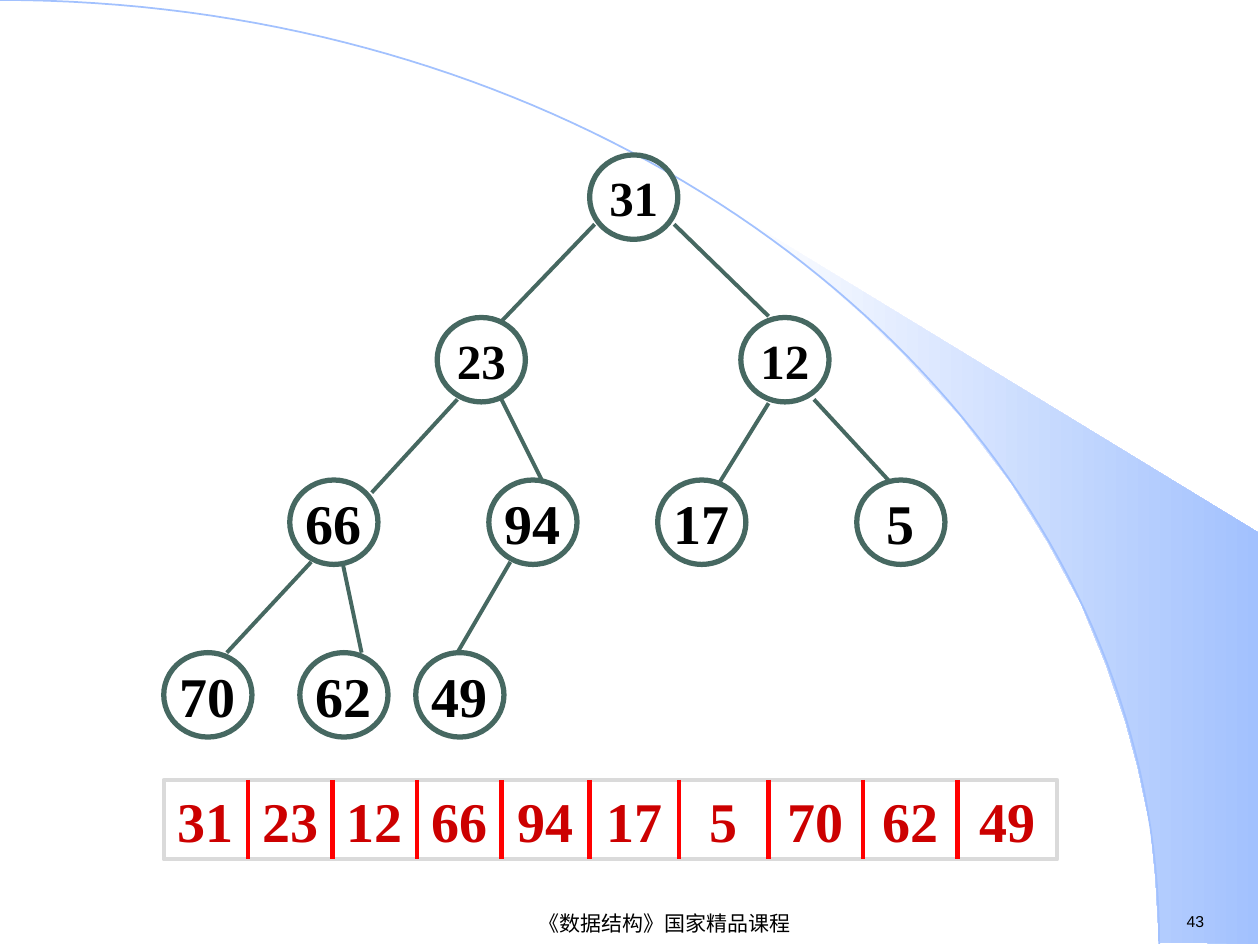
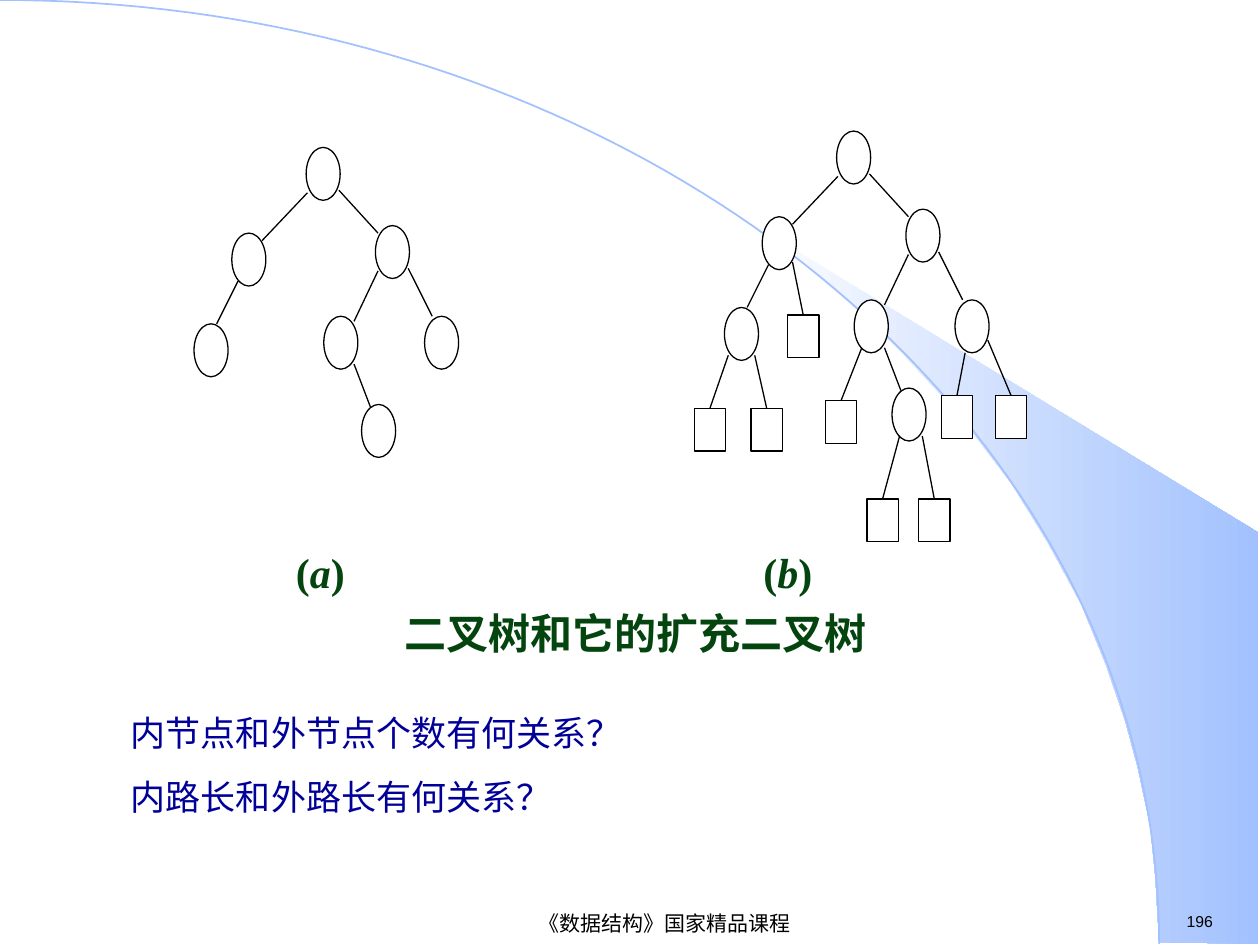
from pptx import Presentation
from pptx.dml.color import RGBColor
from pptx.enum.shapes import MSO_CONNECTOR, MSO_SHAPE
from pptx.enum.text import MSO_ANCHOR, PP_ALIGN
from pptx.oxml.ns import qn
from pptx.util import Inches, Pt
from lxml.etree import SubElement

BLACK = RGBColor(0x00, 0x00, 0x00)
WHITE = RGBColor(0xFF, 0xFF, 0xFF)
SKY = RGBColor(0xA2, 0xC1, 0xFE)
TREE_GREEN = RGBColor(0x46, 0x68, 0x61)
CAPTION_GREEN = RGBColor(0x04, 0x44, 0x0F)
QUESTION_BLUE = RGBColor(0x00, 0x00, 0x99)
FRAME_GRAY = RGBColor(0xDA, 0xDA, 0xDA)
DIVIDER_RED = RGBColor(0xFF, 0x00, 0x00)
ARRAY_RED = RGBColor(0xCC, 0x00, 0x00)

# Shared by every slide
FOOTER = "《数据结构》国家精品课程"
ARC = [(0, 0), (5.08, 0), (9.2, 3.35), (9.2, 7.49)]  # Bézier control points
ARC_STEPS = 80
BEAM = [(9.2, 7.48), (9.99, 7.49), (9.99, 4.23), (5.89, 1.73), (6.24, 1.99),
        (6.53, 2.22), (6.85, 2.5), (7.16, 2.8), (7.62, 3.3), (8.03, 3.84),
        (8.32, 4.31), (8.58, 4.79), (8.78, 5.28), (8.93, 5.72), (9.03, 6.09),
        (9.13, 6.56), (9.17, 6.96)]
SMALL = {"size": Pt(9), "name": "Arial", "color": BLACK}
FOOTER_FORMAT = {**SMALL, "size": Pt(12)}

# Slide 43: each level has a top, a text size and its nodes (value, left)
HEAP_LEVELS = [
    (1.23, 28, [("31", 4.68)]),
    (2.52, 28, [("23", 3.47), ("12", 5.88)]),
    (3.81, 32, [("66", 2.3), ("94", 3.88), ("17", 5.22), ("5", 6.8)]),
    (5.18, 32, [("70", 1.3), ("62", 2.38), ("49", 3.3)]),
]
HEAP_NODE = (0.7, 0.67)
HEAP_EDGES = [
    (4.72, 1.78, 3.98, 2.55), (5.35, 1.78, 6.1, 2.51),
    (3.63, 3.17, 2.95, 3.91), (3.98, 3.17, 4.31, 3.83),
    (6.1, 3.2, 5.71, 3.83), (6.46, 3.17, 7.05, 3.81),
    (2.47, 4.46, 1.8, 5.18), (2.72, 4.47, 2.87, 5.18),
    (4.05, 4.46, 3.63, 5.18),
]
CELL_EDGES = [1.3, 1.97, 2.64, 3.31, 3.98, 4.68, 5.39, 6.1, 6.85, 7.6, 8.39]
ARRAY_TOP, ARRAY_HEIGHT = 6.19, 0.63
NUMBER = {"name": "Times New Roman", "bold": True, "color": BLACK}

# Slide 196: the binary tree, drawn again with its external nodes
INNER_NODE = (0.27, 0.42)
INNER_NODES = [(2.43, 1.17), (1.84, 1.85), (1.54, 2.57), (2.98, 1.79),
               (2.57, 2.51), (3.37, 2.51), (2.87, 3.21)]
INNER_EDGES = [(2.44, 1.53, 2.08, 1.91), (1.89, 2.23, 1.72, 2.57),
               (2.69, 1.51, 3, 1.85), (3, 2.15, 2.81, 2.55),
               (3.24, 2.13, 3.43, 2.51), (2.81, 2.89, 2.94, 3.23)]
TREE_OFFSETS = [(0, 0), (4.21, -0.13)]
OUTER_NODE = (0.25, 0.34)
OUTER_NODES = [  # left, top, and where the edge leaves the parent
    (5.51, 3.24, 5.78, 2.82), (5.96, 3.24, 5.99, 2.82),
    (6.25, 2.5, 6.29, 2.08), (6.55, 3.18, 6.84, 2.76),
    (6.88, 3.96, 7.14, 3.46), (7.29, 3.96, 7.32, 3.46),
    (7.47, 3.14, 7.66, 2.8), (7.9, 3.14, 7.84, 2.7),
]
CAPTION_LABELS = [("(", False), ("a", True), (")\t(", False), ("b", True), (")", False)]
CAPTION_TITLE = "二叉树和它的扩充二叉树"
CAPTION = {"name": "Times New Roman", "size": Pt(24), "bold": True, "color": CAPTION_GREEN}
QUESTIONS = ["内节点和外节点个数有何关系？", "内路长和外路长有何关系？"]
QUESTION = {"name": "Arial", "size": Pt(20), "color": QUESTION_BLUE}


def add_run(paragraph, text, formats):
    run = paragraph.add_run()
    run.text = text
    for name, value in formats.items():
        if name == "color":
            run.font.color.rgb = value
        else:
            setattr(run.font, name, value)


def set_frame(shape, anchor=MSO_ANCHOR.TOP, wrap=True, insets=(0.1, 0.05)):
    frame = shape.text_frame
    side, edge = map(Inches, insets)
    settings = {"vertical_anchor": anchor, "word_wrap": wrap, "margin_left": side,
                "margin_right": side, "margin_top": edge, "margin_bottom": edge}
    for name, value in settings.items():
        setattr(frame, name, value)
    return frame


def add_tabs(paragraph, positions, kind):
    tab_list = SubElement(paragraph._p.get_or_add_pPr(), qn("a:tabLst"))
    for position in positions:
        SubElement(tab_list, qn("a:tab"), pos=str(Inches(position)), algn=kind)


def paint(shape, fill=None, line=None, width=0.75):
    shape.shadow.inherit = False
    for part, color in ((shape.fill, fill), (shape.line.fill, line)):
        if color is None:
            part.background()
        else:
            part.solid()
            part.fore_color.rgb = color
    if line is not None:
        shape.line.width = Pt(width)
    return shape


def add_preset(slide, kind, box, **colors):
    return paint(slide.shapes.add_shape(kind, *map(Inches, box)), **colors)


def add_edge(slide, ends, color, width):
    edge = slide.shapes.add_connector(MSO_CONNECTOR.STRAIGHT, *map(Inches, ends))
    edge.line.color.rgb = color
    edge.line.width = Pt(width)
    SubElement(edge._element.spPr, qn("a:effectLst"))


def add_outline(slide, points, closed):
    points = [(Inches(x), Inches(y)) for x, y in points]
    builder = slide.shapes.build_freeform(*points[0], scale=1.0)
    builder.add_line_segments(points[1:], close=closed)
    return builder.convert_to_shape()


def bezier_point(t):
    weights = [(1 - t) ** 3, 3 * t * (1 - t) ** 2, 3 * t * t * (1 - t), t ** 3]
    return tuple(sum(w * point[axis] for w, point in zip(weights, ARC)) for axis in (0, 1))


def add_text(slide, box, text, formats, align, **settings):
    frame = set_frame(slide.shapes.add_textbox(*map(Inches, box)), **settings)
    frame.paragraphs[0].alignment = align
    add_run(frame.paragraphs[0], text, formats)


def start_slide(presentation, number):
    """Add a blank slide with the sky beam, the arc, the footer and its number."""
    slide = presentation.slides.add_slide(presentation.slide_layouts[6])
    beam = paint(add_outline(slide, BEAM, True))
    beam.fill.gradient()
    beam.fill.gradient_angle = 0
    for stop, color in zip(beam.fill.gradient_stops, (WHITE, SKY)):
        stop.color.rgb = color
    arc = [bezier_point(step / ARC_STEPS) for step in range(ARC_STEPS + 1)]
    paint(add_outline(slide, arc, False), line=SKY, width=1)
    add_text(slide, (9.32, 7.19, 0.77, 0.25), number, SMALL, PP_ALIGN.LEFT, wrap=False)
    add_text(slide, (2.4, 7.21, 5.75, 0.24), FOOTER, FOOTER_FORMAT, PP_ALIGN.CENTER,
             anchor=MSO_ANCHOR.MIDDLE, wrap=False)
    return slide


def add_heap(slide):
    for ends in HEAP_EDGES:
        add_edge(slide, ends, TREE_GREEN, 2.25)
    for top, size, nodes in HEAP_LEVELS:
        for value, left in nodes:
            node = add_preset(slide, MSO_SHAPE.FLOWCHART_CONNECTOR, (left, top, *HEAP_NODE),
                              line=TREE_GREEN, width=3)
            frame = set_frame(node, MSO_ANCHOR.MIDDLE, wrap=False, insets=(0, 0))
            frame.paragraphs[0].alignment = PP_ALIGN.CENTER
            add_run(frame.paragraphs[0], value, {**NUMBER, "size": Pt(size)})


def add_heap_array(slide):
    """Draw the heap in level order, one value centred in each cell."""
    left, right = CELL_EDGES[0], CELL_EDGES[-1]
    array = add_preset(slide, MSO_SHAPE.RECTANGLE,
                       (left, ARRAY_TOP, right - left, ARRAY_HEIGHT),
                       fill=WHITE, line=FRAME_GRAY, width=2.5)
    paragraph = set_frame(array, MSO_ANCHOR.MIDDLE, insets=(0, 0.05)).paragraphs[0]
    paragraph.alignment = PP_ALIGN.LEFT
    centers = [(a + b) / 2 - left for a, b in zip(CELL_EDGES, CELL_EDGES[1:])]
    add_tabs(paragraph, centers, "ctr")
    values = [value for _, _, nodes in HEAP_LEVELS for value, _ in nodes]
    add_run(paragraph, "".join("\t" + value for value in values),
            {**NUMBER, "size": Pt(32), "color": ARRAY_RED})
    for x in CELL_EDGES[1:-1]:
        add_edge(slide, (x, ARRAY_TOP, x, ARRAY_TOP + ARRAY_HEIGHT), DIVIDER_RED, 2.5)


def add_caption(slide):
    box = add_preset(slide, MSO_SHAPE.RECTANGLE, (2.25, 4.3, 5.58, 0.95), fill=WHITE)
    frame = set_frame(box, insets=(0.1, 0.04))
    labels, title = frame.paragraphs[0], frame.add_paragraph()
    labels.alignment = PP_ALIGN.LEFT
    add_tabs(labels, [3.71], "l")
    for text, italic in CAPTION_LABELS:
        add_run(labels, text, {**CAPTION, "italic": italic})
    title.alignment = PP_ALIGN.CENTER
    title.space_before = Pt(6)
    add_run(title, CAPTION_TITLE, CAPTION)


def add_binary_trees(slide):
    for dx, dy in TREE_OFFSETS:
        for x, y in INNER_NODES:
            add_preset(slide, MSO_SHAPE.OVAL, (x + dx, y + dy, *INNER_NODE),
                       fill=WHITE, line=BLACK)
        for x1, y1, x2, y2 in INNER_EDGES:
            add_edge(slide, (x1 + dx, y1 + dy, x2 + dx, y2 + dy), BLACK, 0.75)
    for left, top, parent_x, parent_y in OUTER_NODES:
        add_preset(slide, MSO_SHAPE.RECTANGLE, (left, top, *OUTER_NODE),
                   fill=WHITE, line=BLACK)
        add_edge(slide, (parent_x, parent_y, left + OUTER_NODE[0] / 2, top), BLACK, 0.75)


def add_questions(slide):
    frame = set_frame(slide.shapes.add_textbox(*map(Inches, (0.94, 5.6, 8.31, 0.94))))
    for index, question in enumerate(QUESTIONS):
        paragraph = frame.add_paragraph() if index else frame.paragraphs[0]
        if index:
            paragraph.space_before = Pt(12.5)
        add_run(paragraph, question, QUESTION)


def main():
    presentation = Presentation()
    presentation.slide_width, presentation.slide_height = Inches(10), Inches(7.5)
    heap_slide = start_slide(presentation, "43")
    add_heap(heap_slide)
    add_heap_array(heap_slide)
    extended_slide = start_slide(presentation, "196")
    add_caption(extended_slide)
    add_binary_trees(extended_slide)
    add_questions(extended_slide)
    presentation.save("out.pptx")


if __name__ == "__main__":
    main()
